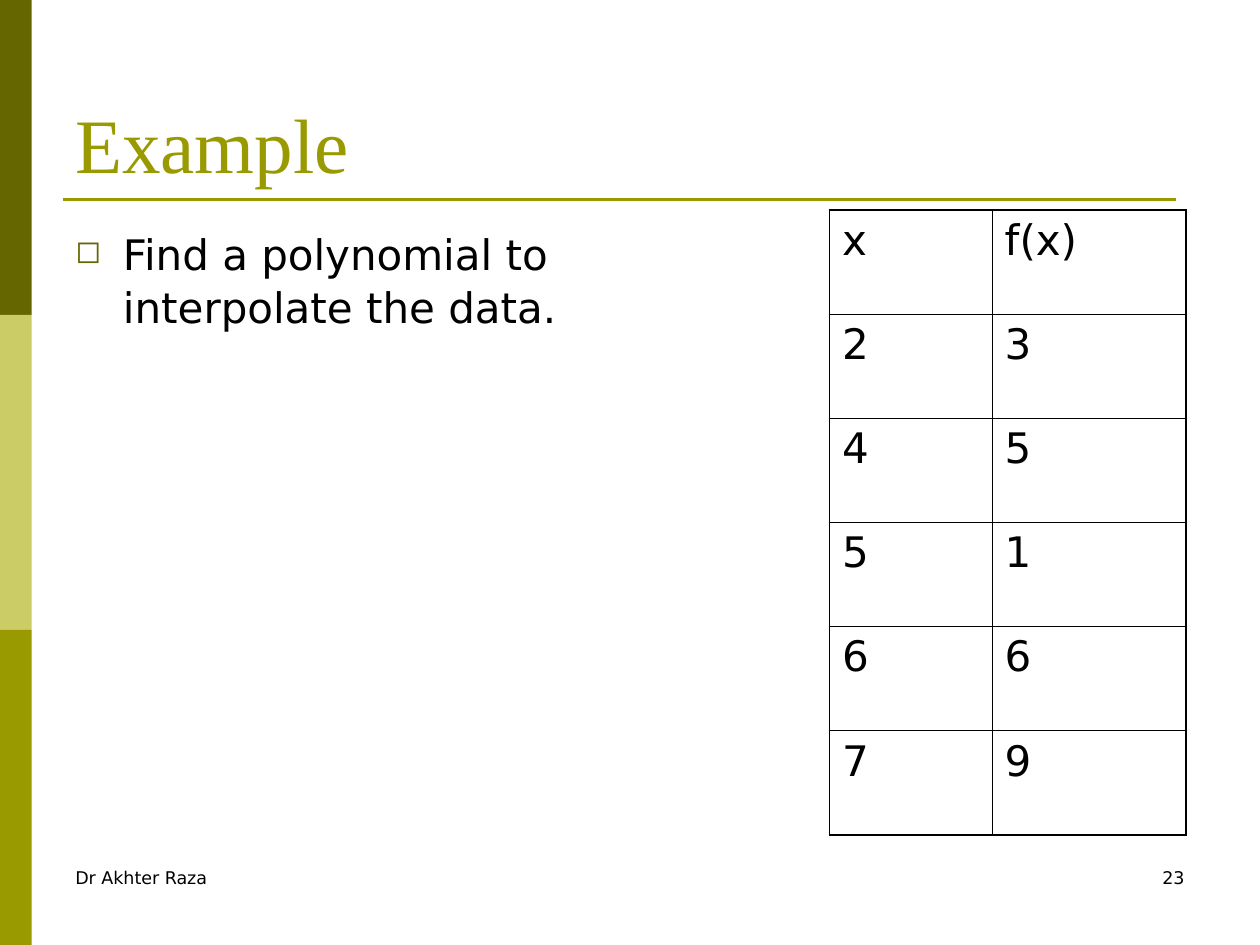
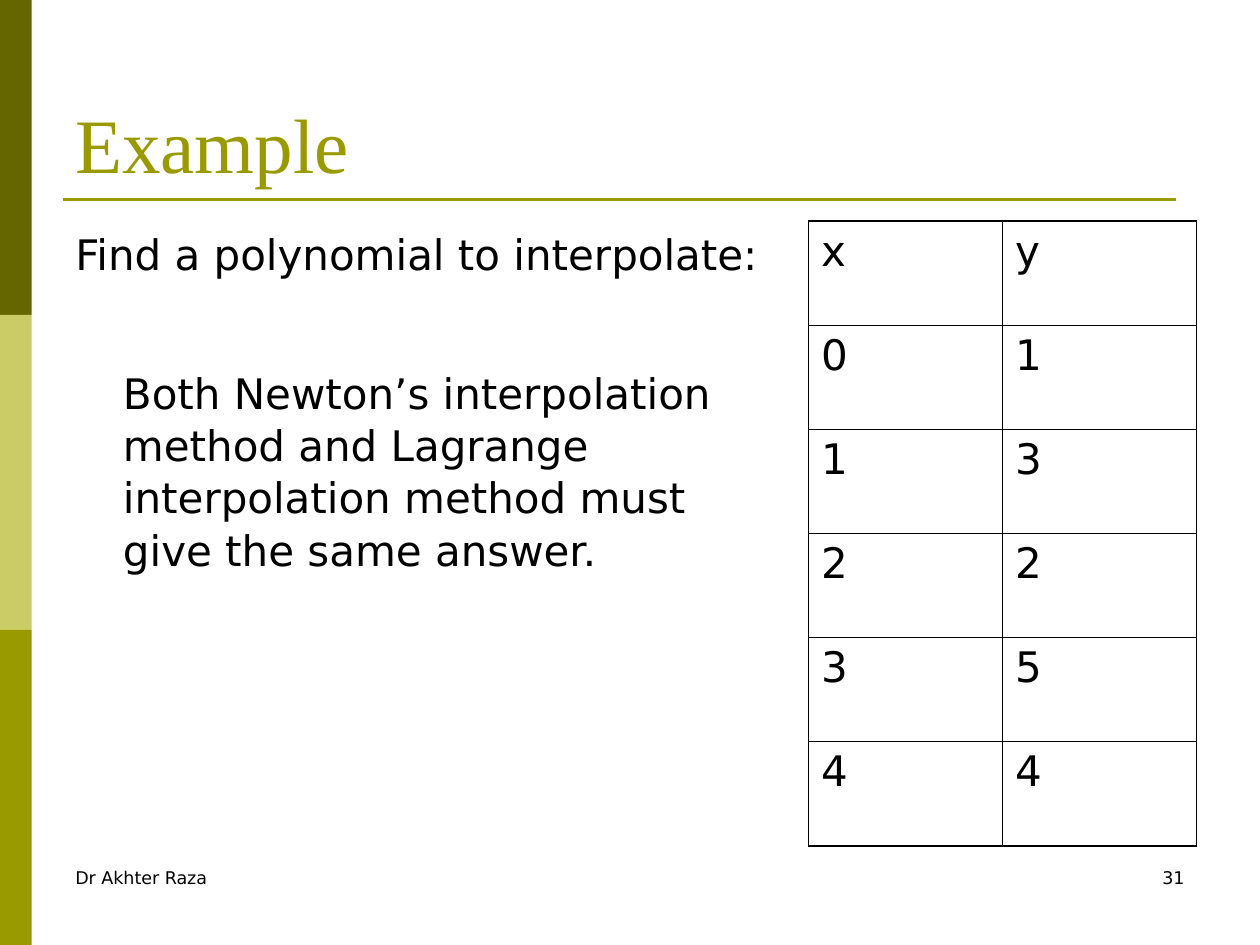
from dataclasses import dataclass

from lxml import etree
from pptx import Presentation
from pptx import util as u
from pptx.dml.color import RGBColor
from pptx.enum import shapes, text
from pptx.oxml import ns

COLORS = {
    "dark_olive": "666600",
    "light_olive": "CCCC66",
    "olive": "999900",
    "ink": "000000",
}
BODY_FONT = "DejaVu Sans"
TITLE_FONT = "Times New Roman"
BODY_SIZE = 24

SLIDE_WIDTH, SLIDE_HEIGHT = u.Cm(25.4), u.Cm(19.05)
BAND_COLORS = ("dark_olive", "light_olive", "olive")
BAND_WIDTH = u.Cm(0.64)
MARGIN = 1.27
ROW_HEIGHT = u.Cm(2.1)
HANGING = u.Cm(0.96)
OUTER_BORDER, INNER_BORDER = u.Pt(1.08), u.Pt(0.45)


@dataclass(frozen=True)
class Box:
    left: float
    top: float
    width: float
    height: float

    def lengths(self) -> tuple:
        return tuple(u.Cm(n) for n in (self.left, self.top, self.width, self.height))


@dataclass(frozen=True)
class Style:
    size: int
    font: str = BODY_FONT
    color: str = "ink"
    align: text.PP_ALIGN = text.PP_ALIGN.LEFT


@dataclass(frozen=True)
class BodyParagraph:
    words: str
    indent: int = 0
    hanging: int = 0
    space_before: int = 6
    bullet: str = ""


@dataclass(frozen=True)
class DataTable:
    left: float
    top: float
    column_widths: tuple[float, ...]
    rows: tuple[tuple[str, ...], ...]


@dataclass(frozen=True)
class ExampleSlide:
    number: int
    body_width: float
    body: tuple[BodyParagraph, ...]
    table: DataTable


TITLE_BOX = Box(MARGIN, 0.76, 22.86, 3.18)
AUTHOR_BOX = Box(MARGIN, 17.35, 5.92, 1.27)
NUMBER_BOX = Box(18.21, 17.35, 5.92, 1.27)
TITLE_STYLE = Style(44, TITLE_FONT, "olive")
BODY_STYLE = Style(BODY_SIZE)
AUTHOR_STYLE = Style(10)
NUMBER_STYLE = Style(10, align=text.PP_ALIGN.RIGHT)

EXAMPLES = (
    ExampleSlide(
        23,
        11.23,
        (
            BodyParagraph("Find a polynomial to interpolate the data.",
                          HANGING, -HANGING, bullet="◻"),
        ),
        DataTable(16.72, 4.23, (3.28, 3.91), (
            ("x", "f(x)"), ("2", "3"), ("4", "5"), ("5", "1"), ("6", "6"), ("7", "9"),
        )),
    ),
    ExampleSlide(
        31,
        14.82,
        (
            BodyParagraph("Find a polynomial to interpolate:", HANGING, -HANGING),
            BodyParagraph(
                "Both Newton’s interpolation method and Lagrange interpolation "
                "method must give the same answer.", HANGING, space_before=49),
        ),
        DataTable(16.3, 4.45, (3.91, 3.91), (
            ("x", "y"), ("0", "1"), ("1", "3"), ("2", "2"), ("3", "5"), ("4", "4"),
        )),
    ),
)


def rgb(name: str) -> RGBColor:
    return RGBColor.from_string(COLORS[name])


def write(paragraph, words: str, style: Style) -> None:
    paragraph.text = words
    paragraph.alignment = style.align
    paragraph.font.size = u.Pt(style.size)
    paragraph.font.name = style.font
    paragraph.font.color.rgb = rgb(style.color)


def add_text_frame(slide, box: Box, anchor=text.MSO_ANCHOR.TOP):
    frame = slide.shapes.add_textbox(*box.lengths()).text_frame
    frame.word_wrap = True
    frame.vertical_anchor = anchor
    return frame


def add_label(slide, box: Box, words: str, style: Style,
              anchor=text.MSO_ANCHOR.TOP) -> None:
    write(add_text_frame(slide, box, anchor).paragraphs[0], words, style)


# Shared frame: side bands, rule, title and footer
def add_frame(slide, number: int) -> None:
    band_height = SLIDE_HEIGHT // len(BAND_COLORS)
    for index, color in enumerate(BAND_COLORS):
        band = slide.shapes.add_shape(shapes.MSO_SHAPE.RECTANGLE, 0,
                                      index * band_height, BAND_WIDTH, band_height)
        band.shadow.inherit = False
        band.fill.solid()
        band.fill.fore_color.rgb = rgb(color)
        band.line.fill.background()

    rule_top = u.Cm(4.02)
    rule = slide.shapes.add_connector(shapes.MSO_CONNECTOR.STRAIGHT, u.Cm(MARGIN),
                                      rule_top, u.Cm(23.7), rule_top)
    rule.line.color.rgb = rgb("olive")
    rule.line.width = u.Pt(1.5)
    etree.SubElement(rule._element.spPr, ns.qn("a:effectLst"))

    add_label(slide, TITLE_BOX, "Example", TITLE_STYLE, text.MSO_ANCHOR.BOTTOM)
    add_label(slide, AUTHOR_BOX, "Dr Akhter Raza", AUTHOR_STYLE)
    add_label(slide, NUMBER_BOX, str(number), NUMBER_STYLE)


# Body text
def add_bullet(properties, character: str) -> None:
    color = etree.SubElement(properties, ns.qn("a:buClr"))
    etree.SubElement(color, ns.qn("a:srgbClr"), val=COLORS["dark_olive"])
    etree.SubElement(properties, ns.qn("a:buSzPct"), val="75000")
    etree.SubElement(properties, ns.qn("a:buChar"), char=character)


def add_body(slide, width: float, items: tuple[BodyParagraph, ...]) -> None:
    frame = add_text_frame(slide, Box(MARGIN, 4.45, width, 12.57))
    for index, item in enumerate(items):
        paragraph = frame.add_paragraph() if index else frame.paragraphs[0]
        paragraph.line_spacing = 1.04
        paragraph.space_before = u.Pt(item.space_before)
        properties = paragraph._p.get_or_add_pPr()
        properties.set("marL", str(item.indent))
        properties.set("indent", str(item.hanging))
        if item.bullet:
            add_bullet(properties, item.bullet)
        write(paragraph, item.words, BODY_STYLE)


# Data table
def add_border(cell, side: str, width: int) -> None:
    line = etree.SubElement(cell._tc.get_or_add_tcPr(), ns.qn(f"a:ln{side}"),
                            w=str(width))
    fill = etree.SubElement(line, ns.qn("a:solidFill"))
    etree.SubElement(fill, ns.qn("a:srgbClr"), val=COLORS["ink"])


def add_data_table(slide, data: DataTable) -> None:
    last_row, last_column = len(data.rows) - 1, len(data.column_widths) - 1
    table = slide.shapes.add_table(
        last_row + 1, last_column + 1, u.Cm(data.left), u.Cm(data.top),
        u.Cm(sum(data.column_widths)), ROW_HEIGHT * len(data.rows)).table
    table.first_row = table.horz_banding = False
    for column, width in zip(table.columns, data.column_widths):
        column.width = u.Cm(width)
    for row_index, values in enumerate(data.rows):
        table.rows[row_index].height = ROW_HEIGHT
        for column_index, value in enumerate(values):
            cell = table.cell(row_index, column_index)
            write(cell.text_frame.paragraphs[0], value, BODY_STYLE)
            outer_sides = {
                "L": column_index == 0,
                "R": column_index == last_column,
                "T": row_index == 0,
                "B": row_index == last_row,
            }
            for side, is_outer in outer_sides.items():
                add_border(cell, side, OUTER_BORDER if is_outer else INNER_BORDER)
            cell.fill.background()


def main() -> None:
    presentation = Presentation()
    presentation.slide_width = SLIDE_WIDTH
    presentation.slide_height = SLIDE_HEIGHT
    blank_layout = presentation.slide_layouts[6]
    for example in EXAMPLES:
        slide = presentation.slides.add_slide(blank_layout)
        add_frame(slide, example.number)
        add_body(slide, example.body_width, example.body)
        add_data_table(slide, example.table)
    presentation.save("out.pptx")


if __name__ == "__main__":
    main()
